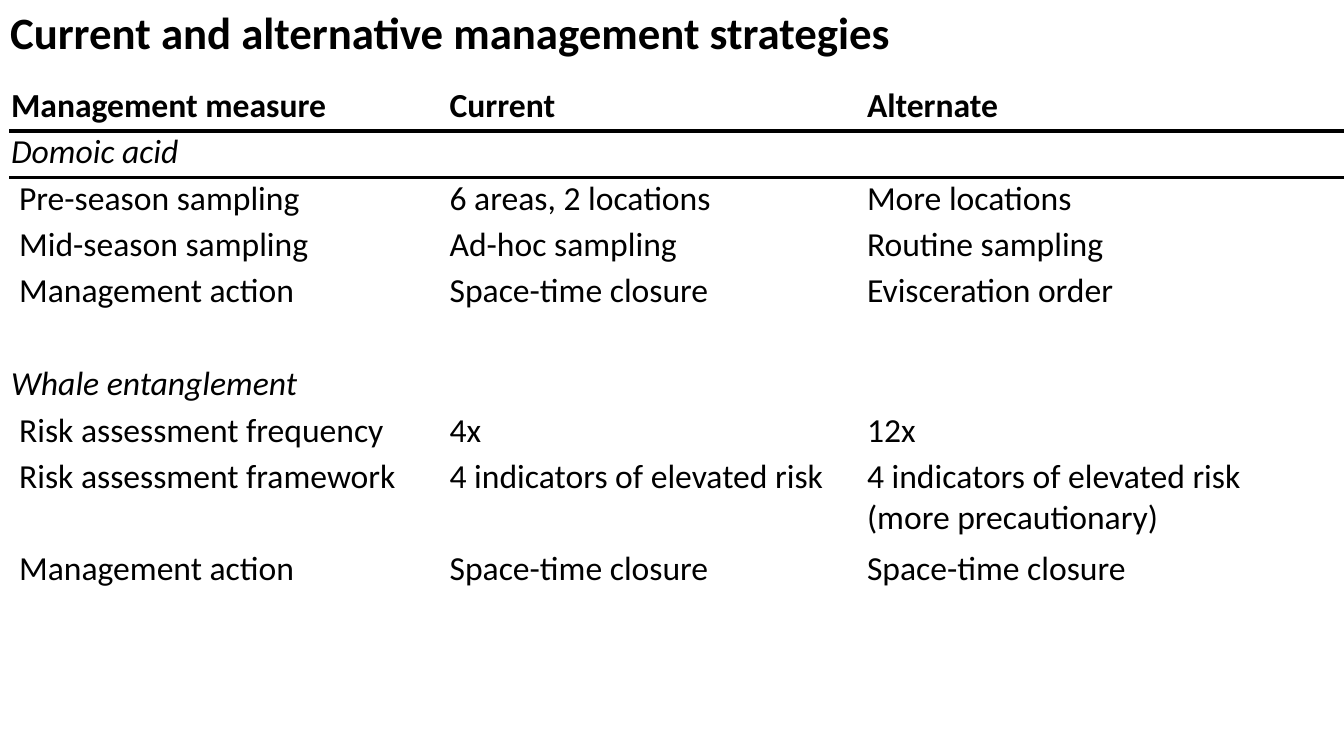
from lxml.etree import SubElement as Sub
from pptx import Presentation
from pptx.dml.color import RGBColor
from pptx.enum.text import MSO_ANCHOR as Anchor, MSO_AUTO_SIZE as Fit, PP_ALIGN as Align
from pptx.oxml.ns import qn
from pptx.util import Inches, Pt

BLACK = RGBColor(0, 0, 0)
WHITE = RGBColor(255, 255, 255)
HEAD = ["Management measure", "Current", "Alternate"]
GROUPS = [
    ("Domoic acid", [
        ["Pre-season sampling", "6 areas, 2 locations", "More locations"],
        ["Mid-season sampling", "Ad-hoc sampling", "Routine sampling"],
        ["Management action", "Space-time closure", "Evisceration order"],
    ]),
    ("Whale entanglement", [
        ["Risk assessment frequency", "4x", "12x"],
        ["Risk assessment framework", "4 indicators of elevated risk",
         "4 indicators of elevated risk\n(more precautionary)"],
        ["Management action", "Space-time closure", "Space-time closure"],
    ]),
]
COLS = [4.35, 4.14, 4.75]
ROW = 0.46
TALL = 0.91


def write(frame, text, size=24, bold=False, italic=False, color=BLACK, face="Calibri"):
    frame.text = text
    for para in frame.paragraphs:
        para.alignment = Align.LEFT
        font = para.font
        font.name, font.size = face, Pt(size)
        font.bold, font.italic = bold, italic
        font.color.rgb = color


def edge(cell, side, color, width):
    line = Sub(cell._tc.get_or_add_tcPr(), qn(f"a:ln{side}"), w=str(Pt(width)))
    fill = Sub(line, qn("a:solidFill"))
    Sub(fill, qn("a:srgbClr"), val=str(color))


class Deck:
    def __init__(self):
        self.show = Presentation()
        self.show.slide_width = Inches(13.33)
        self.show.slide_height = Inches(7.5)
        self.slide = self.show.slides.add_slide(self.show.slide_layouts[5])

    def title(self, text):
        box = self.slide.shapes.title
        box.left, box.top = Inches(0), Inches(0)
        box.width, box.height = Inches(9.01), Inches(0.64)
        frame = box.text_frame
        frame.word_wrap = False
        frame.auto_size = Fit.SHAPE_TO_FIT_TEXT
        frame.vertical_anchor = Anchor.TOP
        write(frame, text, size=32, bold=True)

    def cell(self, cell, text, inset, rules, **style):
        cell.margin_left = Inches(inset)
        cell.margin_top = cell.margin_right = Inches(0.01)
        cell.margin_bottom = Inches(0)
        cell.vertical_anchor = Anchor.TOP
        write(cell.text_frame, text, **style)
        for side in "LRTB":
            edge(cell, side, *((BLACK, 3) if side in rules else (WHITE, 1)))
        cell.fill.background()

    def table(self, rows, left, top):
        highs = [TALL if "\n" in "".join(texts) else ROW for _, texts, _ in rows]
        grid = self.slide.shapes.add_table(
            len(rows), len(COLS), Inches(left), Inches(top),
            Inches(sum(COLS)), Inches(sum(highs))).table
        grid.first_row = grid.horz_banding = False
        for col, width in zip(grid.columns, COLS):
            col.width = Inches(width)
        for r, (kind, texts, rules) in enumerate(rows):
            grid.rows[r].height = Inches(highs[r])
            for c, text in enumerate(texts):
                inset = 0.09 if kind == "item" and c == 0 else 0.01
                self.cell(grid.cell(r, c), text, inset, rules,
                          bold=kind == "head", italic=kind == "group")


def layout():
    rows = [("head", HEAD, "B")]
    for n, (name, items) in enumerate(GROUPS):
        if n:
            rows.append(("gap", [""] * 3, ""))
        rows.append(("group", [name, "", ""], "" if n else "TB"))
        rows += [("item", texts, "" if n or i else "T") for i, texts in enumerate(items)]
    return rows


def main():
    deck = Deck()
    deck.title("Current and alternative management strategies")
    deck.table(layout(), 0.1, 0.84)
    deck.show.save("out.pptx")


if __name__ == "__main__":
    main()
